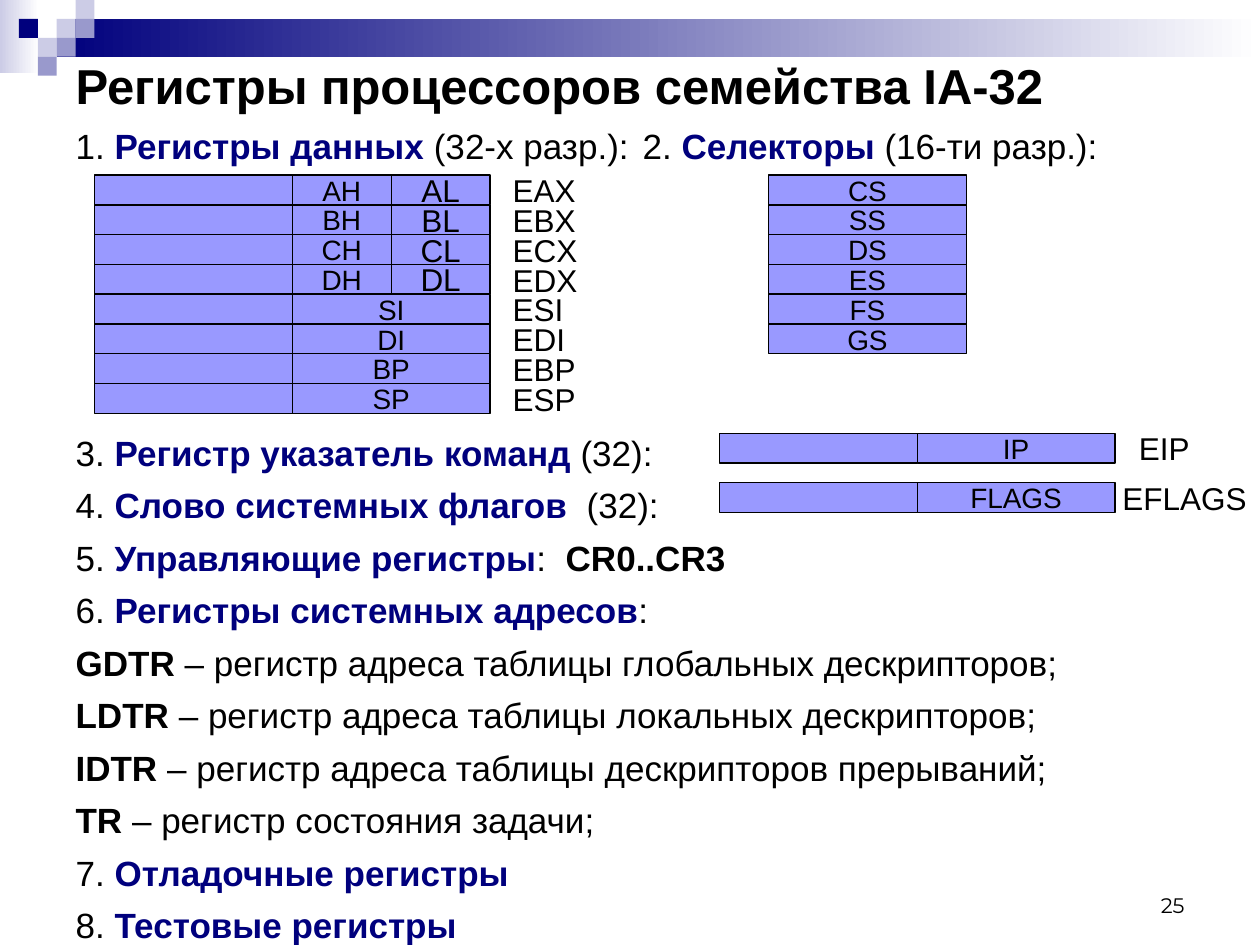
from dataclasses import dataclass

from pptx import Presentation
from pptx.dml.color import RGBColor
from pptx.enum.shapes import MSO_SHAPE
from pptx.enum.text import MSO_ANCHOR, MSO_AUTO_SIZE, PP_ALIGN
from pptx.oxml import parse_xml
from pptx.oxml.ns import nsdecls
from pptx.util import Inches, Pt


@dataclass(frozen=True)
class Theme:
    font: str = "Arial"
    number_font: str = "Montserrat"
    black: RGBColor = RGBColor(0x00, 0x00, 0x00)
    white: RGBColor = RGBColor(0xFF, 0xFF, 0xFF)
    navy: RGBColor = RGBColor(0x00, 0x00, 0x7D)
    pale: RGBColor = RGBColor(0xCC, 0xCC, 0xE6)
    medium: RGBColor = RGBColor(0x99, 0x99, 0xCC)
    cell: RGBColor = RGBColor(0x99, 0x99, 0xFF)
    title_size: int = 28
    body_size: int = 20
    label_size: int = 18
    cell_size: int = 16
    number_size: int = 12


theme = Theme()


def format_run(run, size, color=theme.black, bold=False, font=theme.font):
    run.font.name = font
    run.font.size = Pt(size)
    run.font.bold = bold
    run.font.color.rgb = color


def add_register_cell(left, top, width, text="", size=theme.cell_size):
    shape = slide.shapes.add_shape(MSO_SHAPE.RECTANGLE, left, top, width, row_height)
    shape.shadow.inherit = False
    shape.fill.solid()
    shape.fill.fore_color.rgb = theme.cell
    shape.line.color.rgb = theme.black
    shape.line.width = Pt(0.75)
    if text:
        frame = shape.text_frame
        frame.word_wrap = False
        frame.vertical_anchor = MSO_ANCHOR.MIDDLE
        frame.text = text
        frame.paragraphs[0].alignment = PP_ALIGN.CENTER
        format_run(frame.paragraphs[0].runs[0], size)


presentation = Presentation()
presentation.slide_width = Inches(10)
presentation.slide_height = Inches(7.5)
slide = presentation.slides.add_slide(presentation.slide_layouts[1])

gradient_bars = [
    (0, 0, 0.31, 0.58, theme.pale),
    (0.45, 0.15, 9.55, 0.3, theme.navy),
]
for left, top, width, height, color in gradient_bars:
    bar = slide.shapes.add_shape(
        MSO_SHAPE.RECTANGLE, Inches(left), Inches(top), Inches(width), Inches(height)
    )
    bar.shadow.inherit = False
    bar.line.fill.background()
    bar.fill.gradient()
    bar.fill.gradient_angle = 0
    for stop, stop_color, position in zip(bar.fill.gradient_stops, (color, theme.white), (0, 1)):
        stop.color.rgb = stop_color
        stop.position = position

square_side = Inches(0.15)
squares = [
    (3, 1, theme.pale),
    (4, 0, theme.pale),
    (4, 1, theme.medium),
    (2, 2, theme.pale),
    (1, 1, theme.navy),
    (3, 2, theme.medium),
    (2, 3, theme.medium),
]
for column, row, color in squares:
    square = slide.shapes.add_shape(
        MSO_SHAPE.RECTANGLE, column * square_side, row * square_side, square_side, square_side
    )
    square.shadow.inherit = False
    square.line.fill.background()
    square.fill.solid()
    square.fill.fore_color.rgb = color

title = slide.shapes.title
title.left, title.top, title.width, title.height = Inches(0.5), Inches(0.5), Inches(9), Inches(0.34)
title.text_frame.text = "Регистры процессоров семейства IA-32"
title.text_frame.auto_size = MSO_AUTO_SIZE.NONE
title.text_frame.vertical_anchor = MSO_ANCHOR.MIDDLE
title.text_frame.paragraphs[0].alignment = PP_ALIGN.LEFT
format_run(title.text_frame.paragraphs[0].runs[0], theme.title_size, bold=True)

plain, strong, term = (theme.black, False), (theme.black, True), (theme.navy, True)
items = [
    [("1. ", plain), ("Регистры данных", term), (" (32-х разр.):\t2. ", plain),
     ("Селекторы", term), (" (16-ти разр.):", plain)],
    [("3. ", plain), ("Регистр указатель команд", term), (" (32):", plain)],
    [("4. ", plain), ("Слово системных флагов", term), ("  (32):", plain)],
    [("5. ", plain), ("Управляющие регистры", term), (":  ", plain), ("CR0..CR3", strong)],
    [("6. ", plain), ("Регистры системных адресов", term), (":", plain)],
    [("GDTR", strong), (" – регистр адреса таблицы глобальных дескрипторов;", plain)],
    [("LDTR ", strong), ("– регистр адреса таблицы локальных дескрипторов;", plain)],
    [("IDTR", strong), (" – регистр адреса таблицы дескрипторов прерываний;", plain)],
    [("TR ", strong), ("– регистр состояния задачи;", plain)],
    [("7. ", plain), ("Отладочные регистры", term)],
    [("8. ", plain), ("Тестовые регистры", term)],
]
body = slide.placeholders[1]
body.left, body.top, body.width, body.height = Inches(0.5), Inches(0.94), Inches(9), Inches(6.5)
body.text_frame.auto_size = MSO_AUTO_SIZE.NONE
for index, parts in enumerate(items):
    paragraph = body.text_frame.paragraphs[0] if index == 0 else body.text_frame.add_paragraph()
    properties = paragraph._p.get_or_add_pPr()
    properties.set("marL", "0")
    properties.set("indent", "0")
    properties.append(parse_xml(f"<a:buNone {nsdecls('a')}/>"))
    if index == 0:
        properties.append(parse_xml(
            f'<a:tabLst {nsdecls("a")}><a:tab pos="{Inches(5.01)}" algn="l"/></a:tabLst>'
        ))
    paragraph.space_before = Pt({0: 0, 1: 151}.get(index, 6))
    for text, (color, bold) in parts:
        run = paragraph.add_run()
        run.text = text
        format_run(run, theme.body_size, color, bold)

row_height = Inches(1.89) // 8
half_width = Inches(1.57)
byte_width = half_width // 2
registers_top = Inches(1.39)
data_left, selector_left, pointer_left = Inches(0.75), Inches(6.1), Inches(5.71)
labels = []

data_registers = [
    ("EAX", "AH", "AL"), ("EBX", "BH", "BL"), ("ECX", "CH", "CL"), ("EDX", "DH", "DL"),
    ("ESI", "SI"), ("EDI", "DI"), ("EBP", "BP"), ("ESP", "SP"),
]
for row, (name, *parts) in enumerate(data_registers):
    top = registers_top + row * row_height
    add_register_cell(data_left, top, half_width)
    part_width = half_width // len(parts)
    for column, part in enumerate(parts):
        size = theme.label_size if column == 1 else theme.cell_size
        add_register_cell(data_left + half_width + column * part_width, top, part_width, part, size)
    labels.append((name, Inches(3.97), top))

for row, name in enumerate(["CS", "SS", "DS", "ES", "FS", "GS"]):
    add_register_cell(selector_left, registers_top + row * row_height, half_width, name)

for name, part, top, label_left in [("EIP", "IP", 3.44, 8.94), ("EFLAGS", "FLAGS", 3.83, 8.81)]:
    add_register_cell(pointer_left, Inches(top), half_width)
    add_register_cell(pointer_left + half_width, Inches(top), half_width, part)
    labels.append((name, Inches(label_left), Inches(top)))

for name, left, top in labels:
    label_width = Inches(1.18) if name == "EFLAGS" else Inches(0.7)
    label = slide.shapes.add_textbox(left, top - Inches(0.08), label_width, Inches(0.4))
    label.text_frame.word_wrap = True
    label.text_frame.margin_right = 0
    label.text_frame.text = name
    format_run(label.text_frame.paragraphs[0].runs[0], theme.label_size)

number = slide.shapes.add_textbox(Inches(7.17), Inches(6.83), Inches(2.33), Inches(0.5))
number.text_frame.word_wrap = True
number.text_frame.vertical_anchor = MSO_ANCHOR.BOTTOM
number.text_frame.text = "25"
number.text_frame.paragraphs[0].alignment = PP_ALIGN.RIGHT
format_run(number.text_frame.paragraphs[0].runs[0], theme.number_size, font=theme.number_font)

presentation.save("out.pptx")
